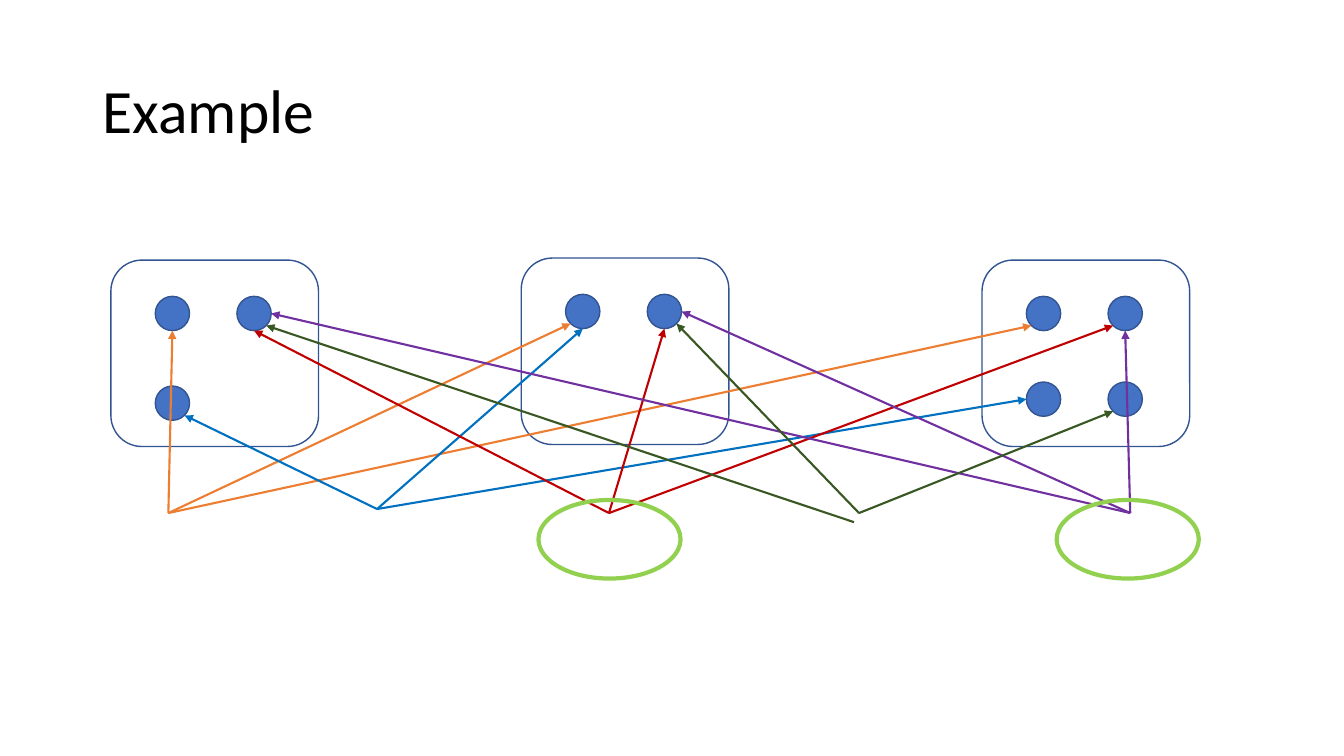
from dataclasses import dataclass
from math import cos, radians, sin

from lxml.etree import SubElement
from pptx import Presentation
from pptx.dml.color import RGBColor
from pptx.enum.shapes import MSO_CONNECTOR, MSO_SHAPE
from pptx.enum.text import MSO_ANCHOR
from pptx.oxml.ns import qn
from pptx.util import Inches, Pt

COLORS = {
    "black": "000000",
    "dot": "4472C4",
    "edge": "325491",
    "orange": "ED7D31",
    "blue": "0070C0",
    "red": "C00000",
    "purple": "7030A0",
    "green": "385723",
    "lime": "92D050",
}
SIZE = 0.34
ANGLES = {"right": 0, "low right": 45, "low": 90, "low left": 135, "left": 180}


@dataclass
class Group:
    name: str
    left: float
    top: float
    spots: list[tuple[float, float]]


@dataclass
class Arrow:
    color: str
    start: tuple[float, float]
    dot: str
    side: str


GROUPS = [
    Group("A", 1.1, 2.58, [(0.44, 0.36), (1.25, 0.36), (0.44, 1.25)]),
    Group("B", 5.17, 2.56, [(0.44, 0.36), (1.25, 0.36)]),
    Group("C", 9.74, 2.58, [(0.44, 0.36), (1.25, 0.36), (0.44, 1.21), (1.25, 1.21)]),
]
ARROWS = [
    Arrow("orange", (1.67, 5.09), "C1", "low left"),
    Arrow("orange", (1.67, 5.09), "B1", "low left"),
    Arrow("orange", (1.67, 5.09), "A1", "low"),
    Arrow("blue", (3.74, 5.05), "C3", "left"),
    Arrow("blue", (3.74, 5.05), "B1", "low"),
    Arrow("blue", (3.74, 5.05), "A3", "low right"),
    Arrow("red", (6.04, 5.09), "A2", "low"),
    Arrow("red", (6.04, 5.09), "B2", "low"),
    Arrow("red", (6.04, 5.09), "C2", "low left"),
    Arrow("purple", (11.21, 5.09), "C2", "low"),
    Arrow("purple", (11.21, 5.09), "B2", "right"),
    Arrow("purple", (11.21, 5.09), "A2", "right"),
    Arrow("green", (8.47, 5.18), "A2", "low right"),
    Arrow("green", (8.52, 5.09), "B2", "low right"),
    Arrow("green", (8.52, 5.09), "C4", "low left"),
]
RINGS = [5.34, 10.48]


def paint(name: str) -> RGBColor:
    return RGBColor.from_string(COLORS[name])


def add_form(slide, kind: MSO_SHAPE, box: tuple[float, float, float, float],
             edge: str, width: float, fill: str | None = None) -> None:
    form = slide.shapes.add_shape(kind, *map(Inches, box))
    form.shadow.inherit = False
    if fill:
        form.fill.solid()
        form.fill.fore_color.rgb = paint(fill)
    else:
        form.fill.background()
    form.line.color.rgb = paint(edge)
    form.line.width = Pt(width)


def add_group(slide, group: Group) -> dict[str, tuple[float, float]]:
    add_form(slide, MSO_SHAPE.ROUNDED_RECTANGLE,
             (group.left, group.top, 2.06, 1.85), "edge", 1)
    dots = {}
    for index, (right, down) in enumerate(group.spots, 1):
        left, top = group.left + right, group.top + down
        add_form(slide, MSO_SHAPE.OVAL, (left, top, SIZE, SIZE), "edge", 1, "dot")
        dots[f"{group.name}{index}"] = (left + SIZE / 2, top + SIZE / 2)
    return dots


def add_arrow(slide, arrow: Arrow, dots: dict[str, tuple[float, float]]) -> None:
    angle = radians(ANGLES[arrow.side])
    x, y = dots[arrow.dot]
    end = (x + SIZE / 2 * cos(angle), y + SIZE / 2 * sin(angle))
    line = slide.shapes.add_connector(
        MSO_CONNECTOR.STRAIGHT, *map(Inches, arrow.start + end))
    line.line.color.rgb = paint(arrow.color)
    line.line.width = Pt(1.5)
    SubElement(line.line._get_or_add_ln(), qn("a:tailEnd"), type="triangle")
    SubElement(line._element.spPr, qn("a:effectLst"))


def add_title(slide, text: str) -> None:
    box = slide.shapes.add_textbox(*map(Inches, (0.92, 0.4, 11.5, 1.45)))
    frame = box.text_frame
    frame.word_wrap = True
    frame.vertical_anchor = MSO_ANCHOR.MIDDLE
    frame.text = text
    para = frame.paragraphs[0]
    para.line_spacing = 0.9
    font = para.runs[0].font
    font.name = "Calibri"
    font.size = Pt(44)
    font.color.rgb = paint("black")


def main() -> None:
    deck = Presentation()
    deck.slide_width, deck.slide_height = Inches(13.33), Inches(7.5)
    slide = deck.slides.add_slide(deck.slide_layouts[6])
    add_title(slide, "Example")
    dots = {}
    for group in GROUPS:
        dots.update(add_group(slide, group))
    for arrow in ARROWS:
        add_arrow(slide, arrow, dots)
    for left in RINGS:
        add_form(slide, MSO_SHAPE.OVAL, (left, 4.96, 1.41, 0.78), "lime", 3)
    deck.save("out.pptx")


if __name__ == "__main__":
    main()
